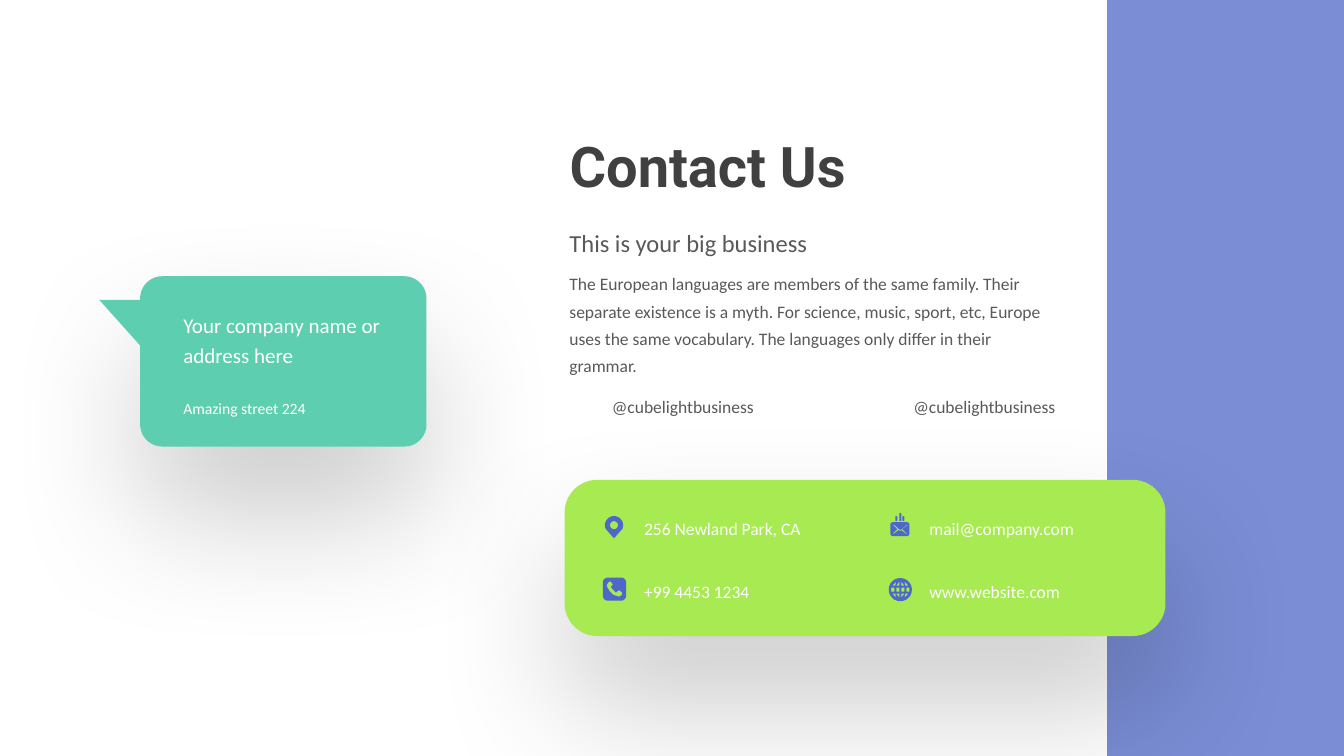
from math import cos, radians, sin

from lxml import etree
from pptx import Presentation
from pptx import util as u
from pptx.dml.color import RGBColor
from pptx.enum import shapes, text
from pptx.oxml import ns

BLUE = RGBColor(0x4E, 0x67, 0xC8)
TEAL = RGBColor(0x5D, 0xCE, 0xAF)
LIME = RGBColor(0xA7, 0xEA, 0x52)
WHITE = RGBColor(0xFF, 0xFF, 0xFF)
DARK = RGBColor(0x40, 0x40, 0x40)
GRAY = RGBColor(0x59, 0x59, 0x59)
KIND = shapes.MSO_SHAPE


def arc(x, y, r, start=0, end=360):
    turns = [radians(start + (end - start) * i / 24) for i in range(25)]
    return [(x + r * cos(t), y + r * sin(t)) for t in turns]


def frame(x, y, w, h, r):
    right, low = x + w - r, y + h - r
    return (arc(right, low, r, 0, 90) + arc(x + r, low, r, 90, 180)
            + arc(x + r, y + r, r, 180, 270) + arc(right, y + r, r, 270, 360))


class Page:
    """Draws styled elements on one slide."""

    def __init__(self, slide, font="Calibri"):
        self.items = slide.shapes
        self.font = font

    def paint(self, item, color, alpha=None):
        item.shadow.inherit = False
        item.fill.solid()
        item.fill.fore_color.rgb = color
        item.line.fill.background()
        if alpha:
            tint = item.element.spPr.find(".//" + ns.qn("a:srgbClr"))
            etree.SubElement(tint, ns.qn("a:alpha"), val=str(alpha * 1000))
        return item

    def shape(self, kind, x, y, w, h, color, adj=None, alpha=None):
        item = self.items.add_shape(kind, *map(u.Inches, (x, y, w, h)))
        if adj is not None:
            item.adjustments[0] = adj
        return self.paint(item, color, alpha)

    def card(self, x, y, w, h, color, adj):
        item = self.shape(KIND.ROUNDED_RECTANGLE, x, y, w, h, color, adj)
        effects = item.element.spPr.find(ns.qn("a:effectLst"))
        cast = etree.SubElement(
            effects, ns.qn("a:outerShdw"), blurRad=str(u.Pt(100)),
            dist=str(u.Pt(50)), dir="5400000", rotWithShape="0")
        tint = etree.SubElement(cast, ns.qn("a:srgbClr"), val="000000")
        etree.SubElement(tint, ns.qn("a:alpha"), val="20000")

    def tail(self, x, y, w, h, color):
        item = self.shape(KIND.ISOSCELES_TRIANGLE, x, y, w, h, color, 0)
        item.rotation = 270
        item.element.spPr.find(ns.qn("a:xfrm")).set("flipH", "1")

    def icon(self, *loops):
        pen = None
        for loop in loops:
            dots = [(round(x * 1000), round(y * 1000)) for x, y in loop]
            if pen is None:
                pen = self.items.build_freeform(*dots[0], scale=914.4)
            else:
                pen.move_to(*dots[0])
            pen.add_line_segments(dots[1:], close=True)
        self.paint(pen.convert_to_shape(), BLUE)

    def text(self, words, x, y, w, h, size, color, space=None, after=None,
             font=None, bold=False):
        body = self.items.add_textbox(*map(u.Inches, (x, y, w, h))).text_frame
        body.word_wrap = True
        body.auto_size = text.MSO_AUTO_SIZE.SHAPE_TO_FIT_TEXT
        para = body.paragraphs[0]
        if space:
            para.line_spacing = space
        if after:
            para.space_after = u.Pt(after)
        run = para.add_run()
        run.text = words
        run.font.name = font or self.font
        run.font.size = u.Pt(size)
        run.font.bold = bold
        run.font.color.rgb = color


def pin(page):
    page.icon(arc(6.09, 5.21, 0.09, 155, 385) + [(6.09, 5.34)],
              arc(6.09, 5.21, 0.04))


def phone(page):
    page.icon(frame(5.98, 5.73, 0.23, 0.23, 0.05), [
        (6.17, 5.9), (6.16, 5.91), (6.14, 5.92), (6.11, 5.91), (6.08, 5.9),
        (6.05, 5.87), (6.02, 5.82), (6.02, 5.8), (6.04, 5.77), (6.06, 5.77),
        (6.08, 5.8), (6.06, 5.82), (6.07, 5.84), (6.11, 5.88), (6.13, 5.86),
        (6.15, 5.86), (6.17, 5.88)])


def mail(page):
    flap = [(8.86, 5.2), (8.93, 5.26), (9, 5.2), (9, 5.21), (8.95, 5.25),
            (9, 5.3), (8.99, 5.3), (8.94, 5.26), (8.93, 5.27), (8.91, 5.26),
            (8.86, 5.3), (8.86, 5.29), (8.9, 5.25), (8.86, 5.21)]
    bars = [frame(x, y, 0.02, 5.17 - y, 0.01)
            for x, y in ((8.88, 5.12), (8.92, 5.09), (8.95, 5.12))]
    page.icon(frame(8.83, 5.18, 0.19, 0.14, 0.03), flap, *bars)


def globe(page):
    x, y = 8.93, 5.85
    bands = [[(a, -0.02), (b, -0.02), (b, 0.02), (a, 0.02)]
             for a, b in ((0.01, 0.04), (0.06, 0.09))]
    caps = [[(0.01, -0.04), (0.04, -0.04), (0.01, -0.08)],
            [(0.05, -0.04), (0.08, -0.04), (0.04, -0.08)]]
    cuts = [[(x + side * a, y + b) for a, b in cut]
            for side in (-1, 1) for cut in bands]
    cuts += [[(x + side * a, y + half * b) for a, b in cut]
             for side in (-1, 1) for half in (-1, 1) for cut in caps]
    page.icon(arc(x, y, 0.115), *cuts)


def main():
    deck = Presentation()
    deck.slide_width, deck.slide_height = u.Inches(13.33), u.Inches(7.5)
    page = Page(deck.slides.add_slide(deck.slide_layouts[6]))

    page.shape(KIND.RECTANGLE, 10.98, 0, 2.35, 7.5, BLUE, alpha=75)
    page.card(1.39, 2.74, 2.84, 1.69, TEAL, 0.13)
    page.tail(0.96, 3, 0.48, 0.43, TEAL)
    page.text("Your company name or address here", 1.72, 3, 2.2, 0.69,
              15, WHITE, 1.2)
    page.text("Amazing street 224", 1.72, 3.91, 2.2, 0.29, 11.2, WHITE)

    page.text("Contact Us", 5.55, 1.19, 5.19, 0.8, 40, DARK, 1.1,
              font="Roboto", bold=True)
    page.text("This is your big business", 5.55, 2.21, 5.07, 0.4, 17.5, GRAY)
    page.text("The European languages are members of the same family. Their "
              "separate existence is a myth. For science, music, sport, etc, "
              "Europe uses the same vocabulary. The languages only differ in "
              "their grammar.", 5.55, 2.6, 5.07, 1.17, 12.5, GRAY, 1.3)
    for x in (5.97, 8.96):
        page.text("@cubelightbusiness", x, 3.84, 2.29, 0.34, 12.5, GRAY, 1.2)

    page.card(5.6, 4.76, 5.96, 1.55, LIME, 0.21)
    rows = (("256 Newland Park, CA", "mail@company.com"),
            ("+99 4453 1234", "www.website.com"))
    for y, row in zip((5.09, 5.71), rows):
        for x, words in zip((6.29, 9.12), row):
            page.text(words, x, y, 2.23, 0.31, 12.5, WHITE, after=7.5)
    for draw in (pin, phone, mail, globe):
        draw(page)

    deck.save("out.pptx")


if __name__ == "__main__":
    main()
